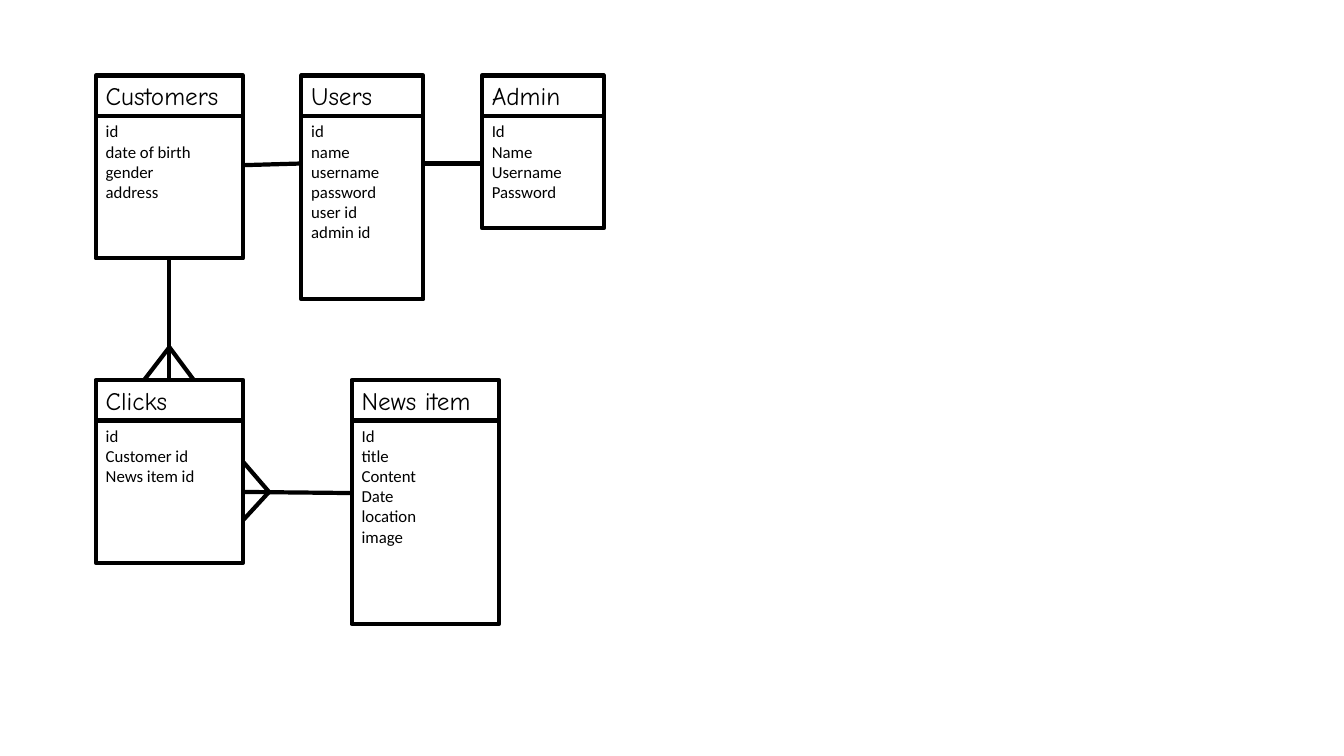
from dataclasses import dataclass

from lxml.etree import SubElement
from pptx import Presentation
from pptx.dml.color import RGBColor
from pptx.enum.shapes import MSO_CONNECTOR as Connector, MSO_SHAPE as Preset
from pptx.enum.text import MSO_ANCHOR as Anchor, MSO_AUTO_SIZE as AutoSize, PP_ALIGN as Align
from pptx.oxml.ns import qn
from pptx.slide import Slide
from pptx.util import Pt

BLACK = RGBColor(0, 0, 0)
WHITE = RGBColor(255, 255, 255)
STROKE = Pt(3)
HEADER_HEIGHT = 29
TOP_ROW, BOTTOM_ROW = 54, 271.4
LEFT_COLUMN = 68.4
WIDE, NARROW = 105.2, 87.2


@dataclass(frozen=True)
class Entity:
    name: str
    fields: tuple[str, ...]
    left: float
    top: float
    width: float
    body_height: float

    @property
    def right(self) -> float:
        return self.left + self.width

    @property
    def center(self) -> float:
        return self.left + self.width / 2

    @property
    def body_top(self) -> float:
        return self.top + HEADER_HEIGHT

    @property
    def bottom(self) -> float:
        return self.body_top + self.body_height


@dataclass(frozen=True)
class Line:
    start: tuple[float, float]
    end: tuple[float, float]


@dataclass(frozen=True)
class TextStyle:
    font: str
    size: float


HEADING = TextStyle("Comic Neue", 18)
FIELD = TextStyle("Calibri", 12)


def draw_box(page: Slide, entity: Entity, top: float, height: float,
             lines: tuple[str, ...], style: TextStyle, filled: bool) -> None:
    box = page.shapes.add_shape(Preset.RECTANGLE, Pt(entity.left), Pt(top),
                                Pt(entity.width), Pt(height))
    box.shadow.inherit = False
    if filled:
        box.fill.solid()
        box.fill.fore_color.rgb = WHITE
    else:
        box.fill.background()
    box.line.color.rgb = BLACK
    box.line.width = STROKE
    frame = box.text_frame
    frame.word_wrap = True
    frame.auto_size = AutoSize.NONE
    frame.vertical_anchor = Anchor.TOP
    for index, text in enumerate(lines):
        para = frame.add_paragraph() if index else frame.paragraphs[0]
        para.alignment = Align.LEFT
        span = para.add_run()
        span.text = text
        span.font.name = style.font
        span.font.size = Pt(style.size)
        span.font.color.rgb = BLACK


def draw_entity(page: Slide, entity: Entity) -> None:
    draw_box(page, entity, entity.top, HEADER_HEIGHT, (entity.name,), HEADING, True)
    draw_box(page, entity, entity.body_top, entity.body_height, entity.fields, FIELD, False)


def draw_line(page: Slide, line: Line) -> None:
    ends = [Pt(value) for value in (*line.start, *line.end)]
    connector = page.shapes.add_connector(Connector.STRAIGHT, *ends)
    connector.line.color.rgb = BLACK
    connector.line.width = STROKE
    SubElement(connector._element.spPr, qn("a:effectLst"))


customers = Entity("Customers", ("id", "date of birth", "gender", "address"),
                   LEFT_COLUMN, TOP_ROW, WIDE, 101.6)
admin = Entity("Admin", ("Id", "Name", "Username", "Password"),
               344.2, TOP_ROW, NARROW, 80)
users = Entity("Users", ("id", "name", "username", "password", "user id", "admin id"),
               215.2, TOP_ROW, NARROW, 130.8)
clicks = Entity("Clicks", ("id", "Customer id", "News item id"),
                LEFT_COLUMN, BOTTOM_ROW, WIDE, 101.6)
news_item = Entity("News item", ("Id", "title", "Content", "Date", "location", "image"),
                   251.2, BOTTOM_ROW, WIDE, 145.4)

customer_fork = (customers.center, 248)
news_fork = (192.2, 351.4)

links = (
    Line((customers.right, 118), (users.left, 116.8)),
    Line((users.right, 116.8), (admin.left, 116.8)),
    Line((customers.center, customers.bottom), (clicks.center, clicks.top)),
    Line((clicks.right, 351.4), (news_item.left, 352.2)),
)
toes = (
    *(Line(customer_fork, (clicks.center + offset, clicks.top)) for offset in (-18, 17.4)),
    *(Line(news_fork, (clicks.right, level)) for level in (329.8, 371.6)),
)

deck = Presentation()
deck.slide_width, deck.slide_height = Pt(960), Pt(540)
page = deck.slides.add_slide(deck.slide_layouts[6])
for entity in (customers, admin, users, clicks, news_item):
    draw_entity(page, entity)
for line in links + toes:
    draw_line(page, line)
deck.save("out.pptx")
